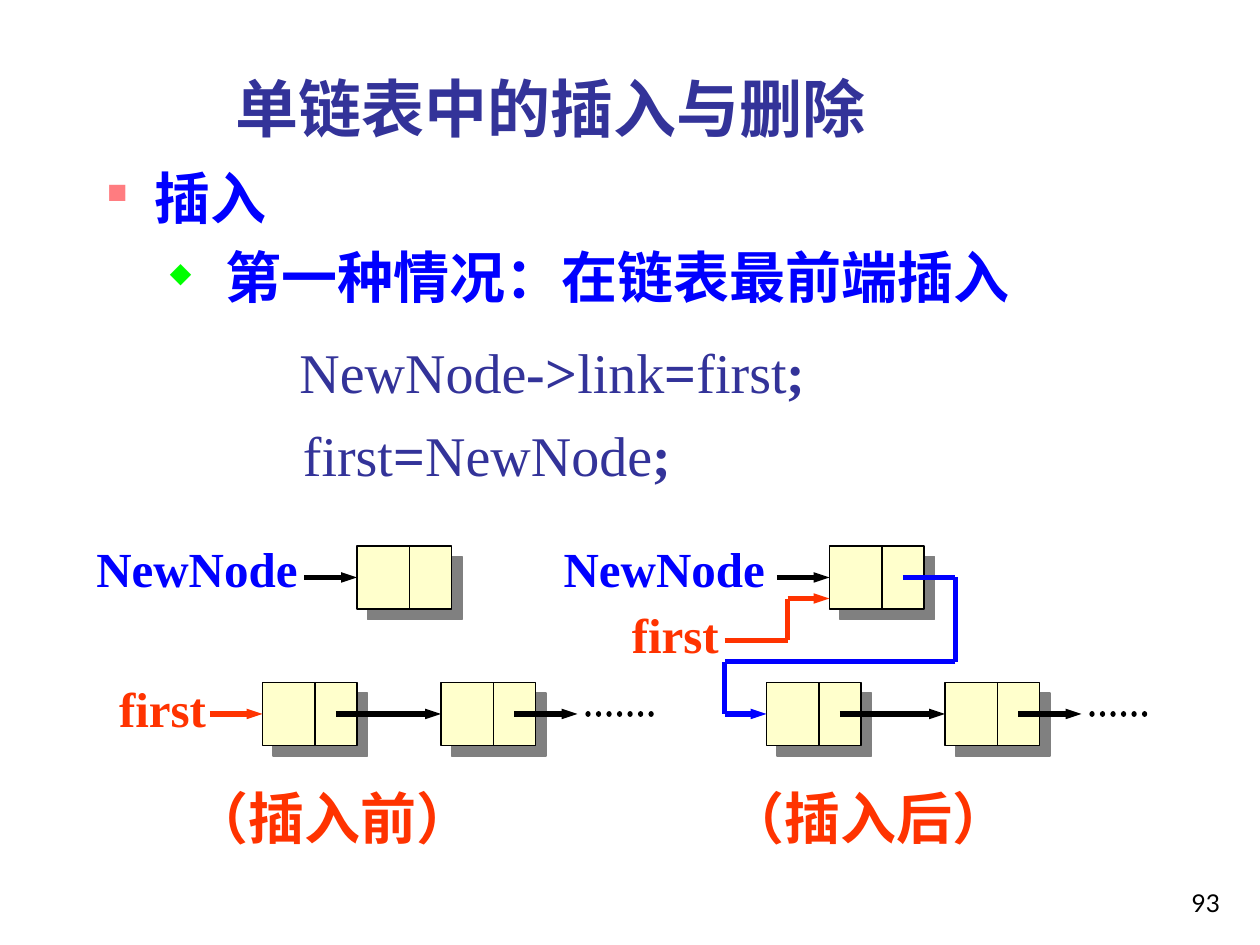
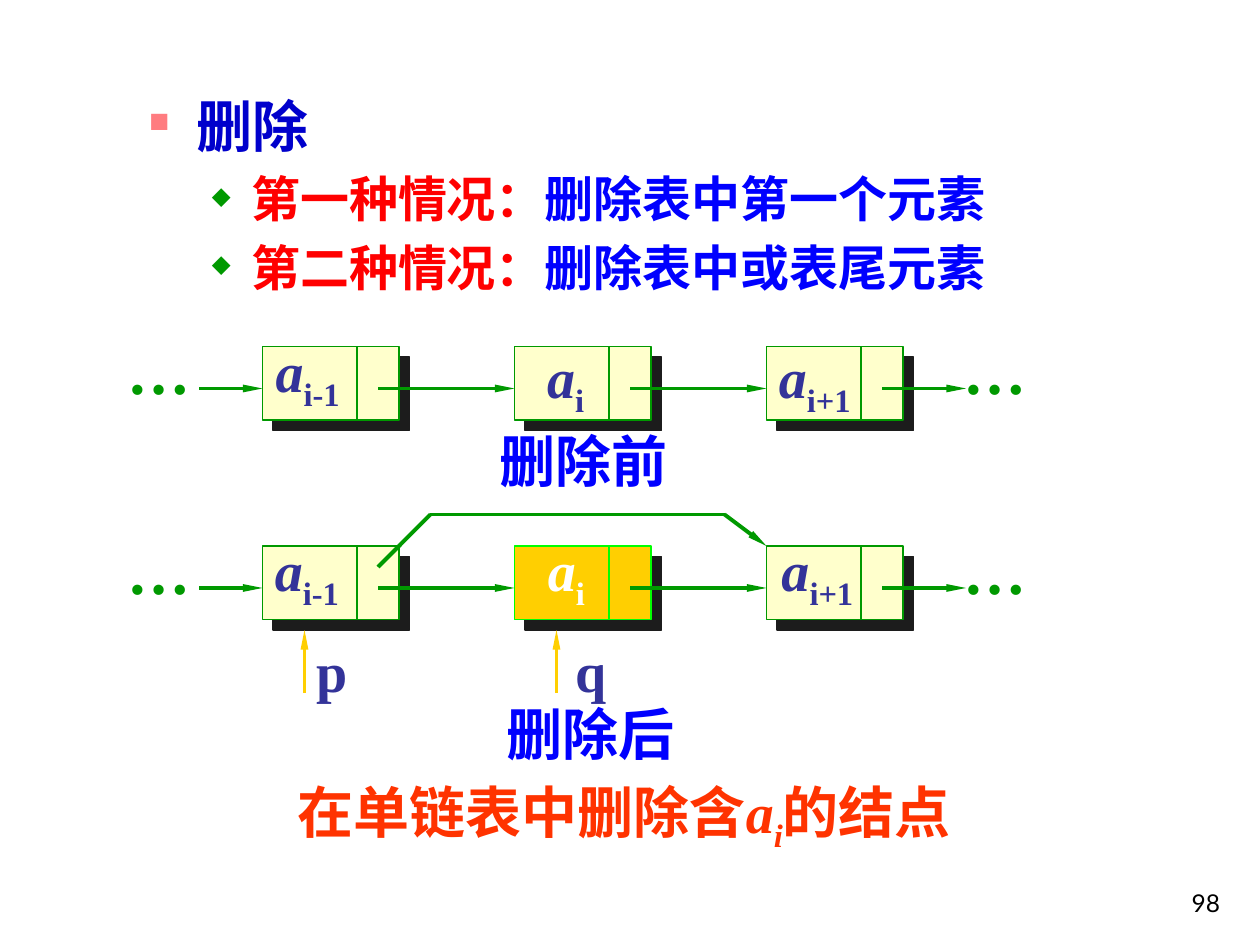
from dataclasses import dataclass
from itertools import pairwise
from lxml import etree
from pptx import Presentation
from pptx.dml.color import RGBColor
from pptx.enum.dml import MSO_LINE
from pptx.enum.shapes import MSO_CONNECTOR, MSO_SHAPE
from pptx.enum.text import MSO_ANCHOR, MSO_AUTO_SIZE, PP_ALIGN
from pptx.oxml.ns import qn
from pptx.util import Pt

RECTANGLE = MSO_SHAPE.RECTANGLE
STRAIGHT = MSO_CONNECTOR.STRAIGHT
ROUND_DOT = MSO_LINE.ROUND_DOT
TOP, MIDDLE, BOTTOM = MSO_ANCHOR.TOP, MSO_ANCHOR.MIDDLE, MSO_ANCHOR.BOTTOM
LEFT, RIGHT = PP_ALIGN.LEFT, PP_ALIGN.RIGHT
GROW, FIXED = MSO_AUTO_SIZE.SHAPE_TO_FIT_TEXT, MSO_AUTO_SIZE.NONE


@dataclass(frozen=True)
class Theme:
    font: str = "Times New Roman"
    number_font: str = "Lato"
    navy: str = "333399"
    blue: str = "0000FF"
    deep_blue: str = "0000CC"
    orange: str = "FF3300"
    red: str = "FF0000"
    green: str = "009900"
    lime: str = "00FF00"
    pink: str = "FF7C80"
    cream: str = "FFFFCC"
    gold: str = "FFCF01"
    black: str = "000000"
    white: str = "FFFFFF"
    gray: str = "808080"
    dark: str = "1C1C1C"
    title: int = 36
    body: int = 32
    label: int = 28
    number: int = 14


THEME = Theme()


@dataclass(frozen=True)
class Run:
    text: str
    color: str
    size: int = THEME.body
    bold: bool = True
    italic: bool = False
    baseline: int = 0
    font: str = THEME.font


@dataclass(frozen=True)
class Line:
    runs: tuple
    margin: float = 0
    hanging: float = 0
    bullet: str = ""
    bullet_color: str = ""
    before: float = 0
    align: int = LEFT


@dataclass(frozen=True)
class NodeStyle:
    width: float
    height: float
    divider: float
    link: float
    middle: float
    divider_weight: float
    arrow_weight: float
    arrow_length: str
    shadow: str
    color: str


INSERT_NODE = NodeStyle(54, 36, 30, 42, 18, 0.75, 3, "med", THEME.gray, THEME.black)
DELETE_NODE = NodeStyle(78, 42, 54, 66, 24, 1.5, 2.25, "lg", THEME.dark, THEME.green)


def rgb(value):
    return RGBColor.from_string(value)


def add_child(parent, tag, **attributes):
    return etree.SubElement(parent, qn(tag), attributes)


def format_line(paragraph, line):
    paragraph.alignment = line.align
    properties = paragraph._p.get_or_add_pPr()
    properties.set("marL", str(Pt(line.margin)))
    properties.set("indent", str(Pt(-line.hanging)))
    if line.before:
        paragraph.space_before = Pt(line.before)
    else:
        add_child(add_child(properties, "a:spcBef"), "a:spcPct", val="20000")
    if line.bullet:
        add_child(add_child(properties, "a:buClr"), "a:srgbClr", val=line.bullet_color)
        add_child(properties, "a:buSzPct", val="50000")
        add_child(properties, "a:buChar", char=line.bullet)
    else:
        add_child(properties, "a:buNone")


def add_text(slide, box, lines, wrap=True, anchor=TOP, inset=(7.2, 3.6)):
    shape = slide.shapes.add_textbox(*map(Pt, box))
    frame = shape.text_frame
    frame.word_wrap = wrap
    frame.auto_size = FIXED if wrap else GROW
    frame.vertical_anchor = anchor
    frame.margin_left = frame.margin_right = Pt(inset[0])
    frame.margin_top = frame.margin_bottom = Pt(inset[1])
    for index, line in enumerate(lines):
        paragraph = frame.add_paragraph() if index else frame.paragraphs[0]
        format_line(paragraph, line)
        for part in line.runs:
            run = paragraph.add_run()
            run.text = part.text
            font = run.font
            font.name, font.size = part.font, Pt(part.size)
            font.bold, font.italic = part.bold, part.italic
            font.color.rgb = rgb(part.color)
            if part.baseline:
                run._r.get_or_add_rPr().set("baseline", str(part.baseline * 1000))


def add_label(slide, box, *runs):
    add_text(slide, box, [Line(runs)], wrap=False)


def add_line(slide, start, end, color, weight, head=None, dotted=False):
    connector = slide.shapes.add_connector(STRAIGHT, *map(Pt, (*start, *end)))
    connector.line.color.rgb = rgb(color)
    connector.line.width = Pt(weight)
    outline = connector.line._get_or_add_ln()
    if dotted:
        connector.line.dash_style = ROUND_DOT
        outline.set("cap", "rnd")
    if head:
        add_child(outline, "a:tailEnd", type="triangle", w="sm", len=head)
    add_child(connector._element.spPr, "a:effectLst")


def add_route(slide, points, color, weight, head):
    steps = list(pairwise(points))
    for index, (start, end) in enumerate(steps, 1):
        add_line(slide, start, end, color, weight, head if index == len(steps) else None)


def add_node(slide, left, top, style, fill=THEME.cream, color=None):
    color = color or style.color
    shape = slide.shapes.add_shape(RECTANGLE, *map(Pt, (left, top, style.width, style.height)))
    shape.fill.solid()
    shape.fill.fore_color.rgb = rgb(fill)
    shape.line.color.rgb = rgb(color)
    shape.line.width = Pt(0.75)
    effects = add_child(shape._element.spPr, "a:effectLst")
    shadow = add_child(effects, "a:outerShdw", dist=str(Pt(8.5)), dir="2700000",
                       algn="ctr", rotWithShape="0")
    add_child(shadow, "a:srgbClr", val=style.shadow)
    divider = left + style.divider
    add_line(slide, (divider, top), (divider, top + style.height), color, style.divider_weight)


def add_arrow(slide, start, end, y, style, color=None):
    add_line(slide, (start, y), (end, y), color or style.color, style.arrow_weight,
             style.arrow_length)


def add_chain(slide, left, top, style, count, pitch, end, fills=None):
    lefts = [left + index * pitch for index in range(count)]
    for index, x in enumerate(lefts):
        add_node(slide, x, top, style, *(fills or {}).get(index, ()))
    for x, target in zip(lefts, [*lefts[1:], left + end]):
        add_arrow(slide, x + style.link, target, top + style.middle, style)


def add_page_number(slide, text):
    run = Run(text, THEME.black, THEME.number, bold=False, font=THEME.number_font)
    add_text(slide, (554.4, 492, 150, 36), [Line((run,), align=RIGHT)], anchor=BOTTOM)


def heading(text, color):
    return Line((Run(text, color),), 27, 27, "■", THEME.pink)


def add_insert_chain(slide, left, top, dots_width):
    style = INSERT_NODE
    add_chain(slide, left, top, style, 2, 102, 180)
    y = top + style.middle
    add_line(slide, (left + 186, y), (left + 186 + dots_width, y), style.color,
             style.arrow_weight, dotted=True)


def add_new_node(slide, left, top, label_left):
    style = INSERT_NODE
    add_node(slide, left, top, style)
    add_arrow(slide, left - 30, left, top + style.middle, style)
    add_label(slide, (label_left, top - 8, 129.6, 41), Run("NewNode", THEME.blue, THEME.label))


def add_first_label(slide, left, top):
    add_label(slide, (left, top, 64, 41), Run("first", THEME.orange, THEME.label))


def add_before_insert(slide, left, top):
    add_insert_chain(slide, left + 102, top + 78, 42)
    add_arrow(slide, left + 72, left + 102, top + 96, INSERT_NODE, THEME.orange)
    add_first_label(slide, left + 13, top + 72)
    add_new_node(slide, left + 156, top, left)
    add_label(slide, (left + 55, top + 132, 174.4, 45), Run("（插入前）", THEME.orange))


def add_after_insert(slide, left, top):
    style = INSERT_NODE
    add_new_node(slide, left + 159, top, left)
    add_first_label(slide, left + 39, top + 30)
    add_insert_chain(slide, left + 123, top + 78, 36)
    first_route = [(99, 54), (135, 54), (135, 30), (159, 30)]
    link_route = [(201, 18), (231, 18), (231, 66), (99, 66), (99, 96), (123, 96)]
    for route, color in ((first_route, THEME.orange), (link_route, THEME.blue)):
        points = [(left + x, top + y) for x, y in route]
        add_route(slide, points, color, style.arrow_weight, style.arrow_length)
    add_label(slide, (left + 94, top + 132, 174.4, 45), Run("（插入后）", THEME.orange))


def code_line(margin, before, *parts):
    runs = tuple(Run(text, THEME.navy, bold=index % 2 == 1) for index, text in enumerate(parts))
    return Line(runs, margin, before=before)


def build_insert_slide(slide):
    add_page_number(slide, "93")
    title = Run("单链表中的插入与删除", THEME.navy, THEME.title)
    add_text(slide, (127.5, 31.5, 420, 60), [Line((title,))], anchor=MIDDLE)
    case = Run("第一种情况：在链表最前端插入", THEME.blue)
    add_text(slide, (54, 90, 672, 402), [
        heading("插入", THEME.blue),
        Line((case,), 67.5, 31.5, "◆", THEME.lime),
        code_line(110, 16.3, "NewNode", "->", "link", "=", "first", ";"),
        code_line(112, 9.1, "first", "=", "NewNode", ";"),
    ])
    add_before_insert(slide, 48, 312)
    add_after_insert(slide, 315, 312)


def add_delete_row(slide, left, top, label_places, middle_fill=(), middle_color=THEME.navy):
    style = DELETE_NODE
    add_arrow(slide, left - 36, left, top + style.middle, style)
    add_chain(slide, left, top, style, 3, 144, 402, {1: middle_fill})
    for x in (-84, 393.6):
        add_label(slide, (left + x, top - 12, 50.4, 50.4), Run("…", THEME.green, THEME.title))
    names = (("i-1", 54.7, THEME.navy), ("i", 36.7, middle_color), ("i+1", 59.8, THEME.navy))
    for index, ((name, width, color), (x, y)) in enumerate(zip(names, label_places)):
        add_label(slide, (left + index * 144 + x, top + y, width, 46),
                  Run("a", color, italic=True), Run(name, color, baseline=-25))


def add_pointer(slide, left, top, name, label_left):
    add_line(slide, (left, top + 36), (left, top), THEME.gold, 2.25, "lg")
    add_label(slide, (label_left, top, 32.4, 45.4), Run(name, THEME.navy))


def build_delete_slide(slide):
    add_page_number(slide, "98")
    cases = (("第一种情况：", "删除表中第一个元素"), ("第二种情况：", "删除表中或表尾元素"))
    add_text(slide, (78, 49, 642, 136), [heading("删除", THEME.deep_blue)] + [
        Line((Run(case, THEME.red, THEME.label), Run(action, THEME.blue, THEME.label)),
             58.5, 22.5, "◆", THEME.green)
        for case, action in cases
    ])
    left, before, after = 150, 198, 312
    add_delete_row(slide, left, before, ((0.5, -9.4), (11.5, -6), (0, -6)))
    add_delete_row(slide, left, after, ((0, -9.6), (12, -9.6), (1.5, -9.6)),
                   (THEME.gold, THEME.lime), THEME.white)
    bypass = [(216, 324), (246, 294), (414, 294), (438, 312)]
    add_route(slide, bypass, THEME.green, 2.25, "lg")
    add_pointer(slide, 174, 360, "p", 174)
    add_pointer(slide, 318, 360, "q", 322)
    add_label(slide, (278.6, 240, 111.6, 46), Run("删除前", THEME.blue))
    add_label(slide, (282.2, 396, 111.6, 46), Run("删除后", THEME.blue))
    summary = (Run("在单链表中删除含", THEME.orange),
               Run("a", THEME.orange, italic=True),
               Run("i", THEME.orange, italic=True, baseline=-25),
               Run("的结点", THEME.orange))
    add_text(slide, (161.3, 440, 398.2, 96), [Line(summary)], inset=(8.6, 4.3))


presentation = Presentation()
presentation.slide_width, presentation.slide_height = Pt(720), Pt(540)
for build in (build_insert_slide, build_delete_slide):
    build(presentation.slides.add_slide(presentation.slide_layouts[6]))
presentation.save("out.pptx")
